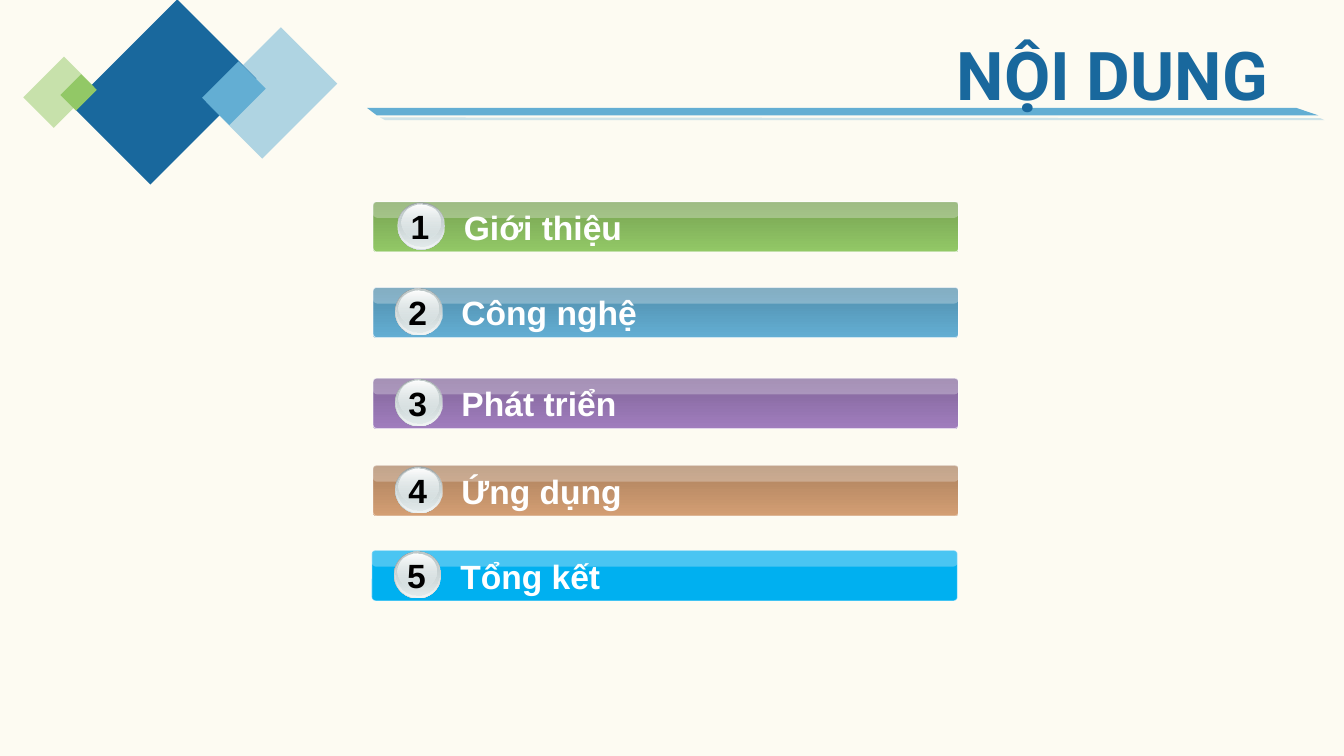
from dataclasses import dataclass
from lxml.etree import SubElement
from pptx import Presentation
from pptx.dml.color import RGBColor as Rgb
from pptx.enum.shapes import MSO_SHAPE as Kind
from pptx.enum.text import MSO_ANCHOR as Anchor, PP_ALIGN as Align
from pptx.oxml.ns import qn
from pptx.util import Cm, Pt


@dataclass(frozen=True)
class Theme:
    paper: str = "FDFBF2"
    navy: str = "19689D"
    sky: str = "63AED3"
    green: str = "92C866"
    white: str = "FFFFFF"
    black: str = "000000"
    gloss: str = "F8F8F8"
    head: tuple = ("Roboto", 48)
    body: tuple = ("Arial", 24)
    # Each disc of a badge: x, y, width, height, then (colour, opacity) stops
    discs: tuple = (
        (0, 0, 1.19, 1.19, ("99A1A2", 100), ("D6E1E2", 100)),
        (0.01, 0, 1.17, 1.17, ("D6E1E2", 0), ("F2F5F5", 100)),
        (0.03, 0.02, 1.12, 1.09, ("C1CBCC", 100), ("D6E1E2", 48)),
        (0.09, 0.05, 0.99, 0.89, ("FFFFFF", 100), ("D6E1E2", 38)),
    )


THEME = Theme()

# Label, left, top, badge shift, bar colours, opacity of the outline
ITEMS = (
    ("Giới thiệu", 9.4, 5.08, 0.06, ("77A253", "92C866"), 70),
    ("Công nghệ", 9.4, 7.24, 0, ("518EAC", "63AED3"), 70),
    ("Phát triển", 9.4, 9.53, 0, ("82669A", "A07DBD"), 70),
    ("Ứng dụng", 9.4, 11.73, 0, ("AC815E", "D39E73"), 40),
    ("Tổng kết", 9.37, 13.87, 0, ("00B0F0",), 40),
)


def paint(shape, *stops, edge=None):
    """Fill with one or two (colour, opacity) stops; edge is the outline's stop."""
    shape.shadow.inherit = False
    fill = shape.fill
    if len(stops) == 1:
        fill.solid()
        fill.fore_color.rgb = Rgb.from_string(stops[0][0])
    else:
        fill.gradient()
        fill.gradient_angle = 270
        for stop, (tone, _) in zip(fill.gradient_stops, stops):
            stop.color.rgb = Rgb.from_string(tone)
    if edge:
        shape.line.color.rgb = Rgb.from_string(edge[0])
        shape.line.width = Pt(0.75)
        stops += (edge,)
    else:
        shape.line.fill.background()
    tones = shape._element.spPr.iter(qn("a:srgbClr"))
    for tone, (_, alpha) in zip(list(tones), stops):
        if alpha < 100:
            SubElement(tone, qn("a:alpha"), val=str(alpha * 1000))


def draw(slide, kind, box, *stops, edge=None, turn=0, bend=None):
    shape = slide.shapes.add_shape(kind, *map(Cm, box))
    shape.rotation = turn
    if bend is not None:
        shape.adjustments[0] = bend
    paint(shape, *stops, edge=edge)


def write(slide, box, text, face, tone, align=Align.LEFT):
    frame = slide.shapes.add_textbox(*map(Cm, box)).text_frame
    frame.word_wrap = True
    frame.vertical_anchor = Anchor.MIDDLE
    para = frame.paragraphs[0]
    para.alignment = align
    run = para.add_run()
    run.text = text
    name, size = face
    for key, value in {"name": name, "size": Pt(size), "bold": True}.items():
        setattr(run.font, key, value)
    run.font.color.rgb = Rgb.from_string(tone)


def diamonds(slide, x, y):
    for dx, dy, wide, high, tone, alpha in (
        (1.78, 0, 2.82, 3.78, THEME.navy, 100),
        (4.9, 0.58, 2.01, 2.67, THEME.sky, 50),
        (4.47, 1.27, 0.97, 1.3, THEME.sky, 100),
        (0, 1.17, 1.09, 1.45, THEME.green, 50),
        (0.76, 1.53, 0.56, 0.74, THEME.green, 100),
    ):
        draw(slide, Kind.RECTANGLE, (x + dx, y + dy, wide, high), (tone, alpha), turn=45)


def stripes(slide, x, y):
    for points, alpha in (
        (((0, 0), (23.42, 0), (23.98, 0.19), (0.25, 0.19)), 100),
        (((0.33, 0.24), (24.03, 0.26), (24.13, 0.31), (0.46, 0.31)), 30),
    ):
        spots = [(Cm(x + dx), Cm(y + dy)) for dx, dy in points]
        form = slide.shapes.build_freeform(*spots[0])
        form.add_line_segments(spots[1:], close=True)
        paint(form.convert_to_shape(), (THEME.sky, alpha))


def badge(slide, x, y, text):
    for dx, dy, wide, high, *stops in THEME.discs:
        draw(slide, Kind.OVAL, (x + dx, y + dy, wide, high), *stops)
    write(slide, (x + 0.02, y - 0.03, 1.09, 1.27), text, THEME.body,
          THEME.black, Align.CENTER)


def entry(slide, box, num, label, shift, tones, alpha):
    """One glossy bar with its numbered badge and label."""
    x, y, wide, high = box
    draw(slide, Kind.ROUNDED_RECTANGLE, box, *((tone, 100) for tone in tones),
         edge=(THEME.white, alpha), bend=0.073)
    draw(slide, Kind.ROUNDED_RECTANGLE, (x, y, wide, 0.41), (THEME.gloss, 30), bend=0.264)
    write(slide, (x + 1.98 + shift, y, 11.3, high), label, THEME.body, THEME.white)
    badge(slide, x + 0.56 + shift, y + 0.02, str(num))


def agenda(deck):
    slide = deck.slides.add_slide(deck.slide_layouts[6])
    back = slide.background.fill
    back.solid()
    back.fore_color.rgb = Rgb.from_string(THEME.paper)
    stripes(slide, 9.25, 2.72)
    diamonds(slide, 0.94, 0.43)
    write(slide, (3.43, 0.58, 28.78, 2.54), "NỘI DUNG", THEME.head, THEME.navy, Align.RIGHT)
    for num, (label, x, y, *style) in enumerate(ITEMS, 1):
        entry(slide, (x, y, 14.76, 1.27), num, label, *style)


def main():
    deck = Presentation()
    deck.slide_width, deck.slide_height = Cm(33.87), Cm(19.05)
    agenda(deck)
    deck.save("out.pptx")


if __name__ == "__main__":
    main()
